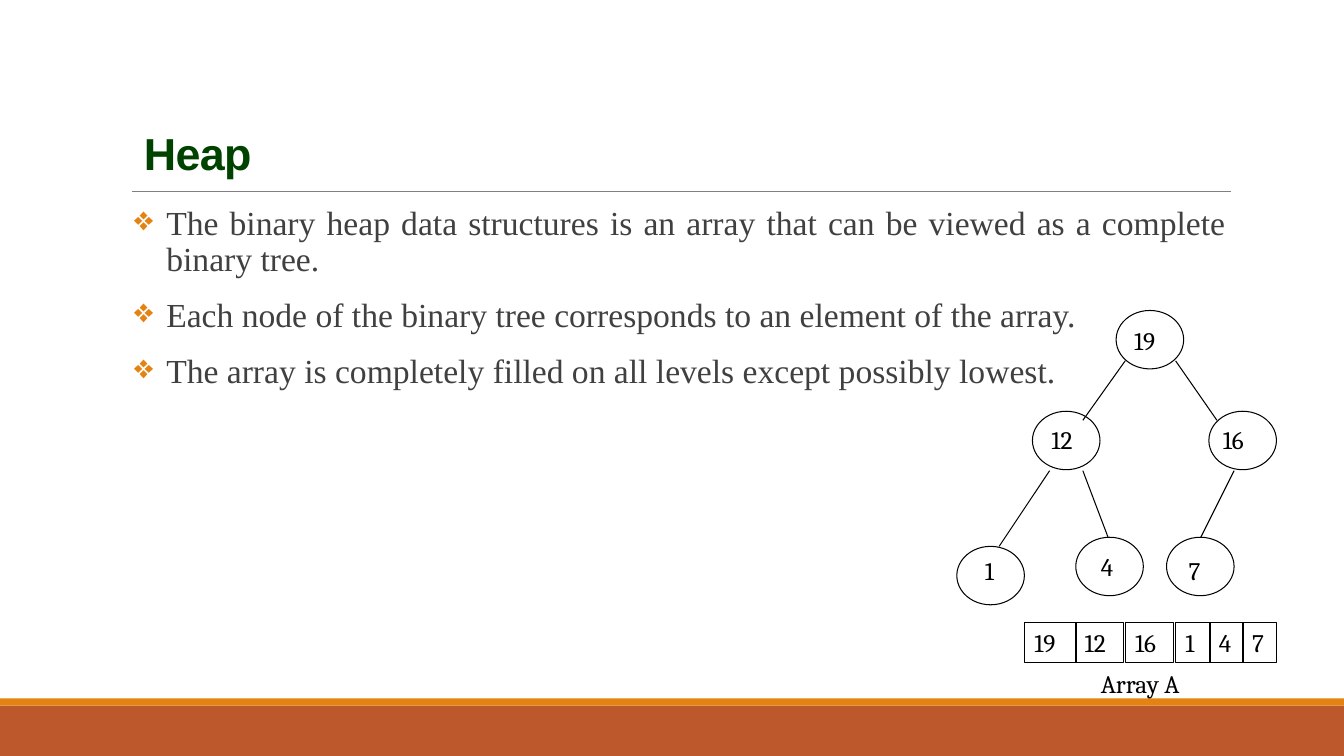
from dataclasses import dataclass
from lxml.etree import SubElement
from pptx import Presentation
from pptx.dml.color import RGBColor
from pptx.enum.shapes import MSO_CONNECTOR, MSO_SHAPE
from pptx.enum.text import MSO_ANCHOR, MSO_AUTO_SIZE, PP_ALIGN
from pptx.oxml.ns import qn
from pptx.util import Inches, Pt

BLACK = RGBColor(0x00, 0x00, 0x00)
GREEN = RGBColor(0x00, 0x42, 0x00)
GREY = RGBColor(0x40, 0x40, 0x40)
RULE = RGBColor(0x80, 0x80, 0x80)
RUST = RGBColor(0xBD, 0x58, 0x2C)
ORANGE = RGBColor(0xE4, 0x83, 0x12)

NODE_W, NODE_H = 0.67, 0.58
LABEL_H = 0.4


@dataclass
class Box:
    left: float
    top: float
    width: float
    height: float

    def emu(self) -> list:
        return [Inches(v) for v in (self.left, self.top, self.width, self.height)]


@dataclass
class Node:
    value: str
    left: float
    top: float
    text_x: float
    text_y: float


@dataclass
class Edge:
    x1: float
    y1: float
    x2: float
    y2: float


@dataclass
class Cell:
    value: str
    width: float
    pitch: float
    wrap: bool = False


NODES = [
    Node("19", 11.07, 3.08, 11.15, 3.18),
    Node("12", 10.24, 4.08, 10.33, 4.16),
    Node("16", 11.99, 4.08, 12.03, 4.16),
    Node("4", 10.67, 5.33, 10.82, 5.42),
    Node("1", 9.49, 5.42, 9.67, 5.46),
    Node("7", 11.57, 5.33, 11.69, 5.46),
]
EDGES = [
    Edge(11.16, 3.58, 10.74, 4.17),
    Edge(10.41, 4.67, 9.91, 5.42),
    Edge(10.74, 4.67, 10.99, 5.33),
    Edge(11.66, 3.58, 12.07, 4.17),
    Edge(12.24, 4.67, 11.91, 5.33),
]
CELLS = [
    Cell("19", 0.51, 0.5, True),
    Cell("12", 0.48, 0.5),
    Cell("16", 0.48, 0.5),
    Cell("1", 0.34, 0.33),
    Cell("4", 0.34, 0.33),
    Cell("7", 0.34, 0.33),
]
POINTS = [
    "The binary heap data structures is an array that can be viewed as a complete binary tree.",
    "Each node of the binary tree corresponds to an element of the array.",
    "The array is completely filled on all levels except possibly lowest.",
]

deck = Presentation()
deck.slide_width, deck.slide_height = Inches(13.33), Inches(7.5)
slide = deck.slides.add_slide(deck.slide_layouts[6])
shapes = slide.shapes


def style(para, name: str, size: float, color: RGBColor, bold: bool = False) -> None:
    font = para.font
    font.name, font.size, font.bold = name, Pt(size), bold
    font.color.rgb = color


def band(box: Box, color: RGBColor) -> None:
    bar = shapes.add_shape(MSO_SHAPE.RECTANGLE, *box.emu())
    bar.shadow.inherit = False
    bar.fill.solid()
    bar.fill.fore_color.rgb = color
    bar.line.fill.background()


def outline(kind: MSO_SHAPE, box: Box, width: float):
    shape = shapes.add_shape(kind, *box.emu())
    shape.shadow.inherit = False
    shape.fill.background()
    shape.line.color.rgb = BLACK
    shape.line.width = Pt(width)
    return shape


def line(edge: Edge, color: RGBColor, width: float) -> None:
    ends = [Inches(v) for v in (edge.x1, edge.y1, edge.x2, edge.y2)]
    link = shapes.add_connector(MSO_CONNECTOR.STRAIGHT, *ends)
    link.line.color.rgb = color
    link.line.width = Pt(width)
    SubElement(link._element.spPr, qn("a:effectLst"))


def label(shape, text: str, wrap: bool = False) -> None:
    frame = shape.text_frame
    frame.word_wrap = wrap
    frame.auto_size = MSO_AUTO_SIZE.SHAPE_TO_FIT_TEXT
    frame.vertical_anchor = MSO_ANCHOR.TOP
    para = frame.paragraphs[0]
    para.text = text
    para.alignment = PP_ALIGN.LEFT
    style(para, "Cambria", 18, BLACK)


def bullet(para) -> None:
    props = para._p.get_or_add_pPr()
    props.set("marL", str(Inches(0.32)))
    props.set("indent", str(-Inches(0.32)))
    tint = SubElement(props, qn("a:buClr"))
    SubElement(tint, qn("a:srgbClr")).set("val", str(ORANGE))
    SubElement(props, qn("a:buChar")).set("char", "❖")


# Footer bands and title rule
band(Box(0, 7, 13.33, 0.5), RUST)
band(Box(0, 6.93, 13.33, 0.07), ORANGE)
line(Edge(1.31, 1.9, 12.21, 1.9), RULE, 0.5)

# Title
frame = shapes.add_textbox(*Box(1.33, 1.13, 10.83, 0.7).emu()).text_frame
frame.word_wrap = True
frame.vertical_anchor = MSO_ANCHOR.BOTTOM
para = frame.paragraphs[0]
para.line_spacing = 0.85
run = para.add_run()
run.text = "Heap"
run._r.get_or_add_rPr().set("spc", "-50")
style(para, "Arial", 32, GREEN, True)

# Bullet points
frame = shapes.add_textbox(*Box(1.33, 2, 10.83, 4.83).emu()).text_frame
frame.word_wrap = True
frame.margin_left = frame.margin_right = 0
for i, point in enumerate(POINTS):
    para = frame.add_paragraph() if i else frame.paragraphs[0]
    para.text = point
    bullet(para)
    para.alignment = PP_ALIGN.JUSTIFY
    para.line_spacing = 0.9
    para.space_before = Pt(12 if i else 0)
    para.space_after = Pt(2)
    style(para, "Times New Roman", 24, GREY)

# Tree
for node in NODES:
    outline(MSO_SHAPE.OVAL, Box(node.left, node.top, NODE_W, NODE_H), 0.75)
    wide = 0.48 if len(node.value) > 1 else 0.34
    spot = Box(node.text_x, node.text_y, wide, LABEL_H)
    label(shapes.add_textbox(*spot.emu()), node.value)
for edge in EDGES:
    line(edge, BLACK, 0.75)

# Array
left = 10.16
for cell in CELLS:
    spot = Box(left, 6.17, cell.width, LABEL_H)
    label(outline(MSO_SHAPE.RECTANGLE, spot, 0.25), cell.value, cell.wrap)
    left += cell.pitch
label(shapes.add_textbox(*Box(10.82, 6.58, 1.5, 0.42).emu()), "Array A", True)

deck.save("out.pptx")
